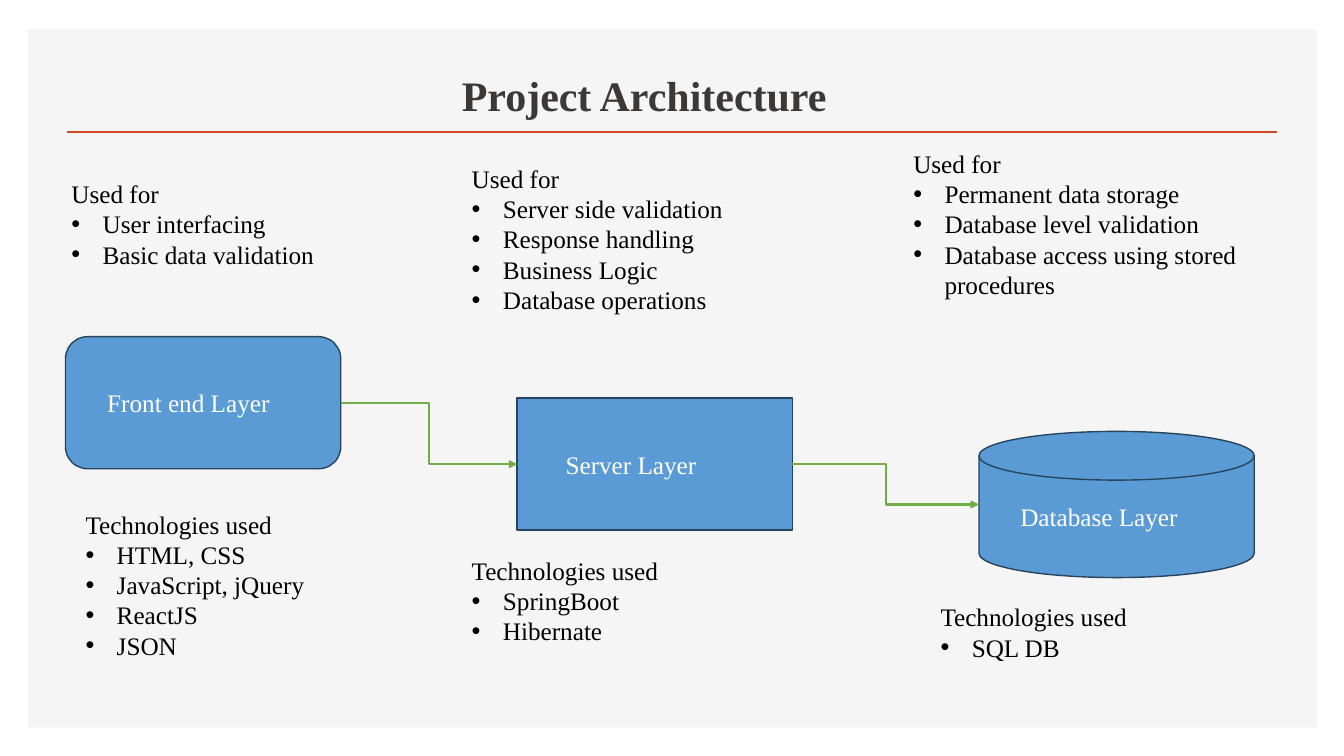
from dataclasses import dataclass

from lxml.etree import SubElement
from pptx import Presentation
from pptx.dml.color import RGBColor
from pptx.enum.shapes import MSO_CONNECTOR, MSO_SHAPE
from pptx.enum.text import MSO_ANCHOR, MSO_AUTO_SIZE, PP_ALIGN
from pptx.oxml.ns import qn
from pptx.util import Inches, Pt


@dataclass(frozen=True)
class Theme:
    font: str = "Times New Roman"
    title_size: int = 30
    body_size: int = 18
    panel: str = "F5F5F5"
    rule: str = "D24726"
    title: str = "3B3838"
    text: str = "000000"
    layer: str = "5B9BD5"
    layer_edge: str = "28445D"
    layer_text: str = "FFFFFF"
    flow: str = "70AD47"


THEME = Theme()
LAYER_WIDTH = 2.73

# Name, shape, left, top, height, label indent, connection site on the left
LAYERS = [
    ("Front end Layer", MSO_SHAPE.ROUNDED_RECTANGLE, 0.65, 3.34, 1.31, 0.25, 1),
    ("Server Layer", MSO_SHAPE.RECTANGLE, 5.13, 3.95, 1.31, 0.38, 1),
    ("Database Layer", MSO_SHAPE.FLOWCHART_MAGNETIC_DISK, 9.71, 4.28, 1.45, 0.31, 2),
]

# Heading, left, top, width, height, items
NOTES = [
    ("Used for", 0.61, 1.72, 3.45, 1.31,
     ["User interfacing", "Basic data validation"]),
    ("Used for", 4.58, 1.57, 3.28, 1.62,
     ["Server side validation", "Response handling", "Business Logic",
      "Database operations"]),
    ("Used for", 8.96, 1.42, 3.47, 1.92,
     ["Permanent data storage", "Database level validation",
      "Database access using stored procedures"]),
    ("Technologies used", 0.75, 5, 2.57, 1.92,
     ["HTML, CSS", "JavaScript, jQuery", "ReactJS", "JSON"]),
    ("Technologies used", 4.58, 5.46, 2.71, 1.31, ["SpringBoot", "Hibernate"]),
    ("Technologies used", 9.23, 5.92, 2.32, 1.01, ["SQL DB"]),
]


def color(value):
    return RGBColor.from_string(value)


def box(left, top, width, height):
    return [Inches(length) for length in (left, top, width, height)]


def write(paragraph, text, size=THEME.body_size, ink=THEME.text, bold=False,
          bullet=False):
    """Fill a left-aligned paragraph with formatted text."""
    paragraph.alignment = PP_ALIGN.LEFT
    run = paragraph.add_run()
    run.text = text
    run.font.name = THEME.font
    run.font.size = Pt(size)
    run.font.bold = bold
    run.font.color.rgb = color(ink)
    if bullet:
        properties = paragraph._p.get_or_add_pPr()
        indent = Inches(0.31)
        properties.set("marL", str(indent))
        properties.set("indent", str(-indent))
        SubElement(properties, qn("a:buFont"), typeface="Arial")
        SubElement(properties, qn("a:buChar"), char="•")


def add_filled(slide, kind, bounds, fill, edge=None):
    shape = slide.shapes.add_shape(kind, *bounds)
    shape.shadow.inherit = False
    shape.fill.solid()
    shape.fill.fore_color.rgb = color(fill)
    if edge:
        shape.line.color.rgb = color(edge)
        shape.line.width = Pt(1)
    else:
        shape.line.fill.background()
    return shape


def add_line(slide, kind, start, end, ink, width):
    line = slide.shapes.add_connector(kind, *start, *end)
    line.line.color.rgb = color(ink)
    line.line.width = Pt(width)
    SubElement(line._element.spPr, qn("a:effectLst"))
    return line


def add_backdrop(slide):
    panel = add_filled(slide, MSO_SHAPE.RECTANGLE,
                       box(0.28, 0.29, 12.78, 6.93), THEME.panel)
    # Send the panel behind the title placeholder
    panel.element.getparent().insert(2, panel.element)
    add_line(slide, MSO_CONNECTOR.STRAIGHT, (Inches(0.66), Inches(1.31)),
             (Inches(12.67), Inches(1.31)), THEME.rule, 2)


def add_title(slide, text):
    title = slide.shapes.title
    title.left, title.top, title.width, title.height = box(4.48, 0.54, 4.03, 0.7)
    frame = title.text_frame
    frame.auto_size = MSO_AUTO_SIZE.NONE
    frame.vertical_anchor = MSO_ANCHOR.BOTTOM
    write(frame.paragraphs[0], text, size=THEME.title_size, ink=THEME.title,
          bold=True)


def add_layer(slide, name, kind, left, top, height, indent):
    layer = add_filled(slide, kind, box(left, top, LAYER_WIDTH, height),
                       THEME.layer, THEME.layer_edge)
    frame = layer.text_frame
    frame.margin_left = Inches(0.1 + indent)
    frame.vertical_anchor = MSO_ANCHOR.MIDDLE
    write(frame.paragraphs[0], name, ink=THEME.layer_text)
    return layer


def add_flow(slide, source, target, site):
    """Join the right side of one layer to the left side of the next."""
    start = source.left + source.width, source.top + source.height // 2
    end = target.left, target.top + target.height // 2
    flow = add_line(slide, MSO_CONNECTOR.ELBOW, start, end, THEME.flow, 1.5)
    SubElement(flow.line._get_or_add_ln(), qn("a:tailEnd"), type="triangle")
    flow.begin_connect(source, 3)
    flow.end_connect(target, site)
    # The disk numbers its sites differently, so set the end again
    flow.end_x, flow.end_y = end


def add_note(slide, heading, left, top, width, height, items):
    note = slide.shapes.add_textbox(*box(left, top, width, height))
    frame = note.text_frame
    frame.word_wrap = True
    write(frame.paragraphs[0], heading)
    for item in items:
        write(frame.add_paragraph(), item, bullet=True)


def main():
    deck = Presentation()
    deck.slide_width, deck.slide_height = Inches(13.33), Inches(7.5)
    slide = deck.slides.add_slide(deck.slide_layouts.get_by_name("Title Only"))

    # Backdrop and title
    add_backdrop(slide)
    add_title(slide, "Project Architecture")

    # Layers and the flow between them
    layers = [add_layer(slide, *layer[:-1]) for layer in LAYERS]
    for source, target, (*_, site) in zip(layers, layers[1:], LAYERS[1:]):
        add_flow(slide, source, target, site)

    # Purposes above the layers, technologies below
    for note in NOTES:
        add_note(slide, *note)

    deck.save("out.pptx")


main()
